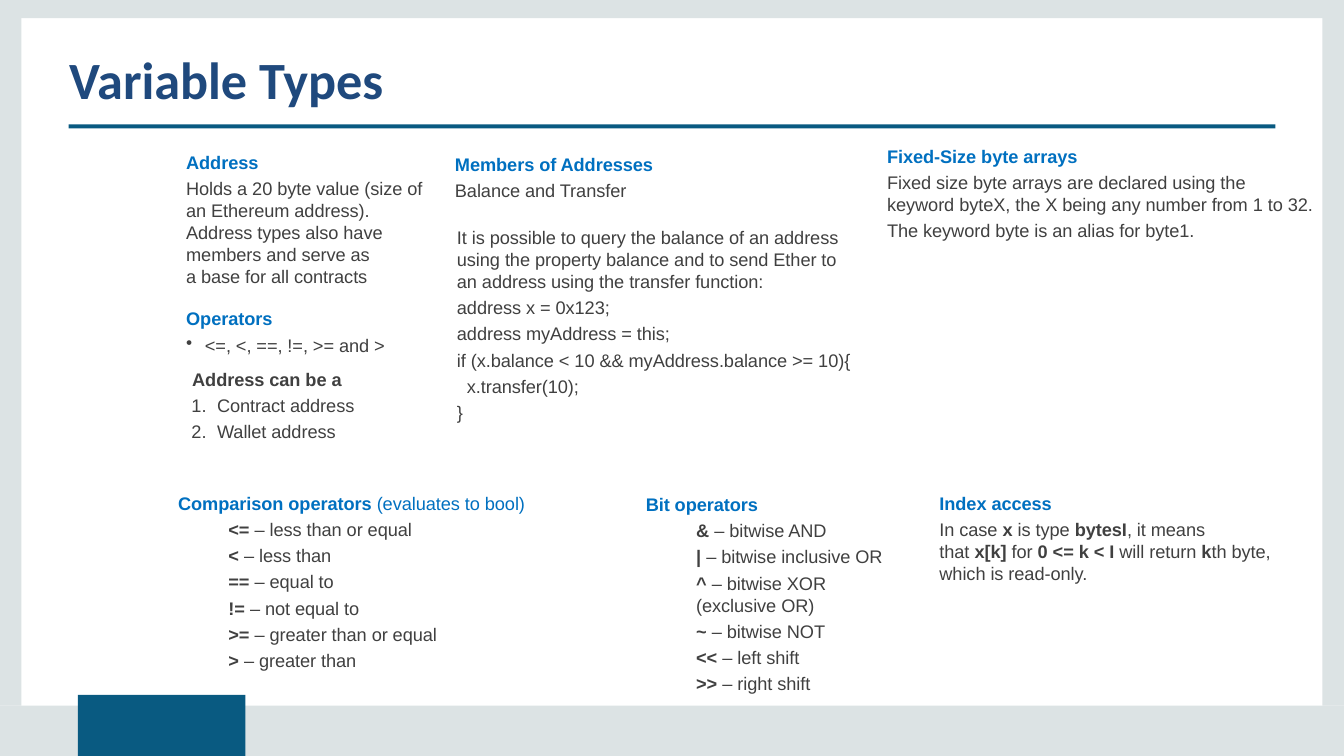
import pptx
import pptx.dml.color
import pptx.enum.shapes
import pptx.enum.text
import pptx.oxml.ns
import pptx.util
from lxml import etree

Inches = pptx.util.Inches
Pt = pptx.util.Pt
BLUE, GRAY, BAND, DARK = "0070C0", "404040", "DCE3E4", "095A81"


def tint(code):
    """Return the colour for a hex string."""
    return pptx.dml.color.RGBColor.from_string(code)


def block(slide, box, code):
    """Draw a plain filled rectangle in the box."""
    kind = pptx.enum.shapes.MSO_SHAPE.RECTANGLE
    shape = slide.shapes.add_shape(kind, *map(Inches, box))
    shape.shadow.inherit = False
    shape.fill.solid()
    shape.fill.fore_color.rgb = tint(code)
    shape.line.fill.background()


def frame(slide, wide, high):
    """Draw the pale page border and the dark foot block."""
    side, top, foot = 0.32, 0.27, 0.75
    block(slide, (0, 0, wide, top), BAND)
    for left in (0, wide - side):
        block(slide, (left, top, side, high - top - foot), BAND)
    block(slide, (0, high - foot, wide, foot), BAND)
    block(slide, (1.16, 10.34, 2.49, 0.91), DARK)


def clear(text, top=0):
    """Strip the insets of a text frame and wrap its lines."""
    text.margin_left = text.margin_right = text.margin_bottom = 0
    text.margin_top = Inches(top)
    text.word_wrap = True
    text.vertical_anchor = pptx.enum.text.MSO_ANCHOR.TOP


def title(slide, box, words):
    """Place the title with the rule beneath it."""
    shape = slide.shapes.title
    shape.left, shape.top, shape.width, shape.height = map(Inches, box)
    clear(shape.text_frame)
    shape.text_frame.text = words
    para = shape.text_frame.paragraphs[0]
    para.alignment = pptx.enum.text.PP_ALIGN.LEFT
    para.font.name, para.font.size, para.font.bold = "Calibri", Pt(56), True
    para.font.color.rgb = tint("1F497D")
    block(slide, (1.02, 1.85, 17.96, 0.06), DARK)


def write(para, words, code=GRAY, left=0.02, gap=4.7, lead=None, mark=None, hang=0):
    """Fill a paragraph; asterisks switch bold on and off."""
    props = para._p.get_or_add_pPr()
    props.set("marL", str(Inches(left)))
    props.set("indent", str(Inches(-hang)))
    para.space_before = Pt(gap)
    if lead:
        para.line_spacing = lead
    if mark:
        name = "a:buAutoNum" if mark == "arabicPeriod" else "a:buChar"
        key = "type" if mark == "arabicPeriod" else "char"
        etree.SubElement(props, pptx.oxml.ns.qn(name)).set(key, mark)
        tabs = etree.SubElement(props, pptx.oxml.ns.qn("a:tabLst"))
        stop = etree.SubElement(tabs, pptx.oxml.ns.qn("a:tab"))
        stop.set("pos", str(Inches(left)))
        stop.set("algn", "l")
    para.font.name, para.font.size = "Arial", Pt(19.5)
    para.font.color.rgb = tint(code)
    parts = [(bit, n % 2 == 1) for n, bit in enumerate(words.split("*")) if bit]
    same = len({bold for _, bold in parts}) == 1
    if same:
        para.font.bold = parts[0][1]
    for bit, bold in parts:
        for n, line in enumerate(bit.split("\v")):
            if n:
                para.add_line_break()
            run = para.add_run()
            run.text = line
            run._r.get_or_add_rPr().set("spc", "-10")
            if not same:
                run.font.bold = bold


def panel(slide, box, items, head=None, top=0.09):
    """Set a text panel: an optional blue heading, then its items."""
    text = slide.shapes.add_textbox(*map(Inches, box)).text_frame
    clear(text, top)
    rows = [(head, {"code": BLUE})] if head else []
    rows += [(item, {}) if isinstance(item, str) else item for item in items]
    for n, (words, style) in enumerate(rows):
        para = text.add_paragraph() if n else text.paragraphs[0]
        write(para, words, **(style if n else {**style, "gap": 0}))


def terms(slide, box, head, pairs, top):
    """Set a panel of operators, each with its meaning."""
    items = [(f"*{sign} *– {sense}" if sign else sense,
              {"left": 0.77, "gap": 4.7 if sign else 0.1}) for sign, sense in pairs]
    panel(slide, box, items, head, top)


def types(slide):
    """Place the upper panels on addresses and byte arrays."""
    panel(slide, (2.75, 2.16, 3.6, 2.13), [
        "Holds a 20 byte value (size of\van Ethereum address).",
        ("Address types also have\vmembers and serve as\va base for all contracts",
         {"gap": 0})], "*Address*")
    step = {"left": 0.48, "hang": 0.38, "mark": "arabicPeriod"}
    panel(slide, (2.75, 4.49, 3.04, 2.12), [
        ("<=, <, ==, !=, >= and >", {"left": 0.3, "hang": 0.28, "mark": "•"}),
        ("*Address can be a*", {"left": 0.11, "gap": 12.8}),
        ("Contract address", step), ("Wallet address", step)], "*Operators*")
    panel(slide, (6.75, 2.19, 3.4, 0.81), ["Balance and Transfer"],
          "*Members of Addresses*")
    code = {"gap": 0, "lead": 1.2}
    panel(slide, (6.78, 3.35, 6.1, 2.98), [
        "It is possible to query the balance of an address\v"
        "using the property balance and to send Ether to\v"
        "an address using the transfer function:",
        ("address x = 0x123;", code), ("address myAddress = this;", code),
        ("if (x.balance < 10 && myAddress.balance >= 10){", code),
        ("  x.transfer(10);", code), "}"], top=0.02)
    panel(slide, (13.18, 2.07, 6.38, 1.87), [
        "Fixed size byte arrays are declared using the\v"
        "keyword byteX, the X being any number from 1 to 32.",
        "The keyword byte is an alias for byte1."], "*Fixed-Size byte arrays*")


def signs(slide):
    """Place the lower panels on operators and index access."""
    terms(slide, (2.63, 7.3, 5.54, 2.74),
          "*Comparison operators *(evaluates to bool)", [
              ("<=", "less than or equal"), ("<", "less than"),
              ("==", "equal to"), ("!=", "not equal to"),
              (">=", "greater than or equal"), (">", "greater than")], 0.02)
    terms(slide, (9.59, 7.25, 3.7, 3.13), "*Bit operators*", [
        ("&", "bitwise AND"), ("|", "bitwise inclusive OR"),
        ("^", "bitwise XOR"), ("", "(exclusive OR)"), ("~", "bitwise NOT"),
        ("<<", "left shift"), (">>", "right shift")], 0.09)
    panel(slide, (13.96, 7.23, 5.03, 1.47), [
        "In case *x *is type *bytesI*, it means",
        ("that *x[k] *for *0 <= k < I *will return *k*th byte,\vwhich is read-only.",
         {"gap": 0})], "*Index access*")


def main():
    """Build and save the slide."""
    deck = pptx.Presentation()
    wide, high = 20, 11.25
    deck.slide_width, deck.slide_height = Inches(wide), Inches(high)
    slide = deck.slides.add_slide(deck.slide_layouts[5])
    frame(slide, wide, high)
    title(slide, (1.03, 0.7, 17.95, 0.94), "Variable Types")
    types(slide)
    signs(slide)
    deck.save("out.pptx")


if __name__ == "__main__":
    main()
